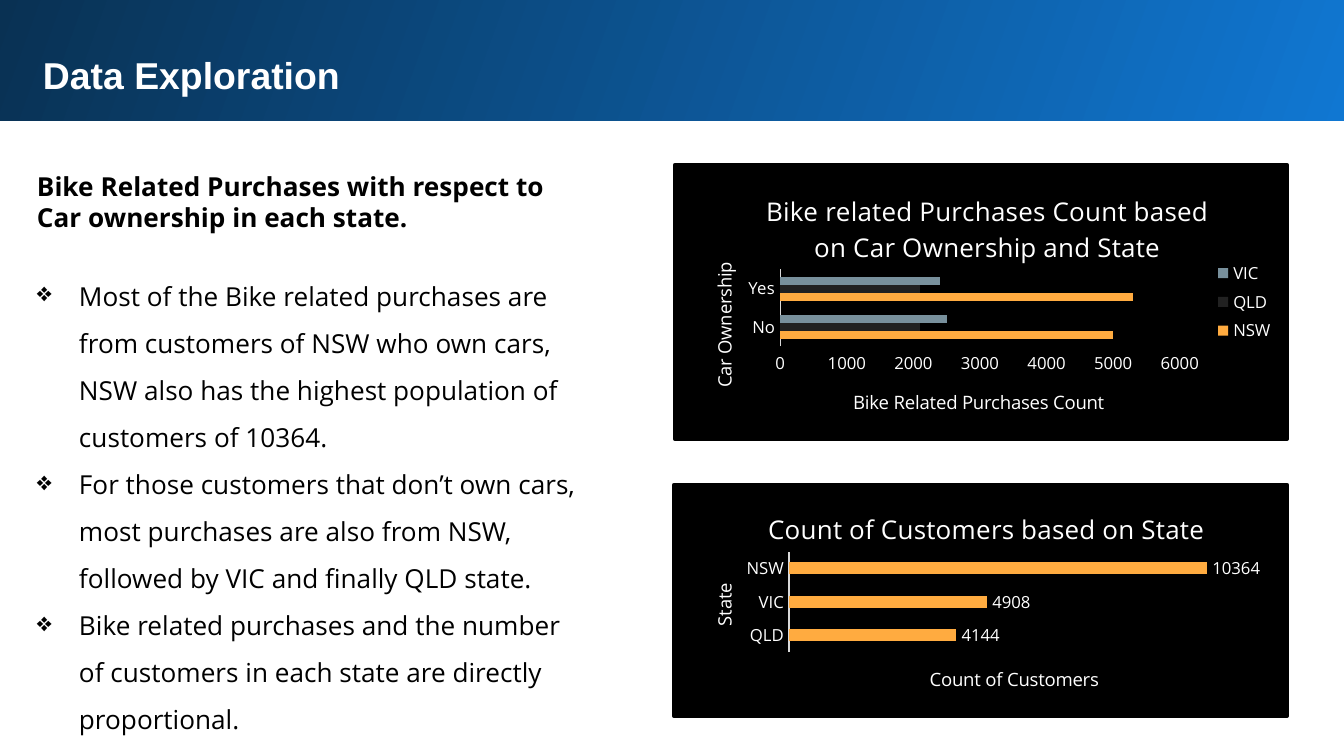
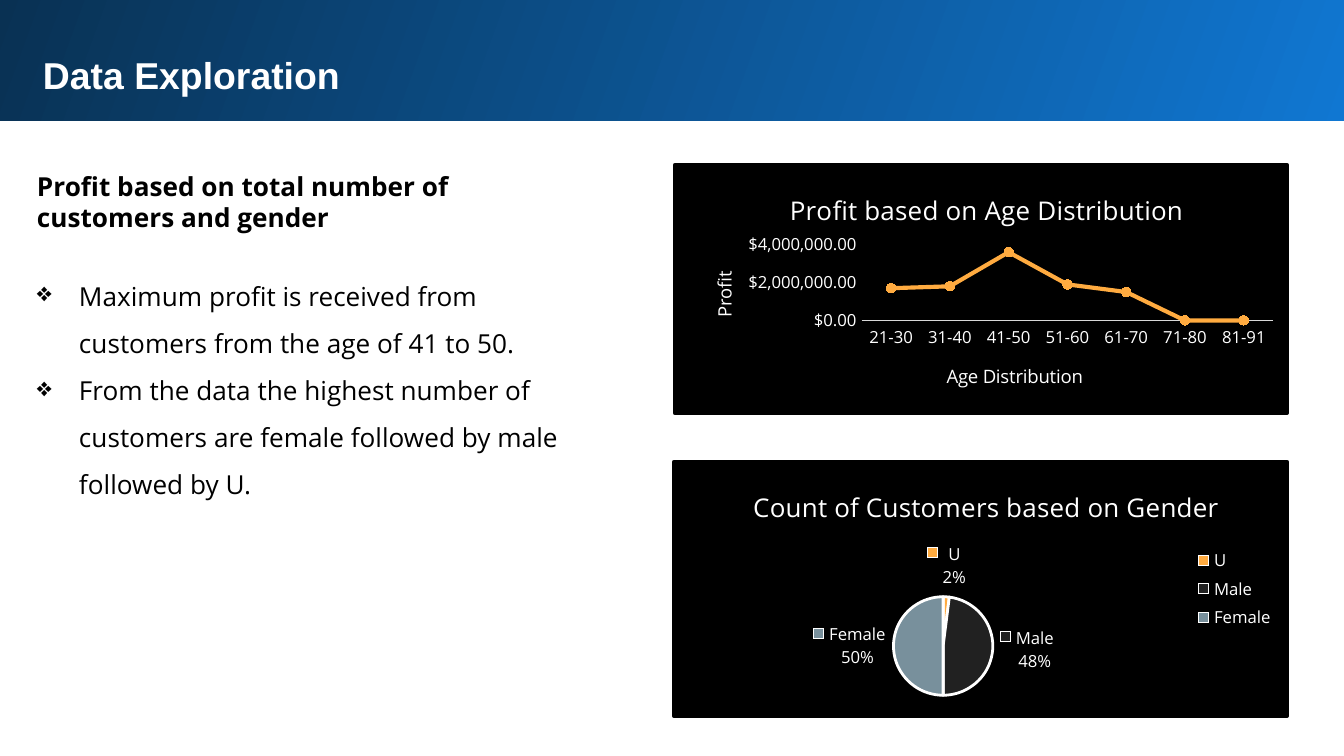
"""Build the two data exploration slides: findings on the left, charts on the right."""
import dataclasses
import typing

import lxml.etree
import pptx
import pptx.chart.axis
import pptx.chart.chart
import pptx.chart.data
import pptx.dml.color
import pptx.enum.chart
import pptx.enum.text
import pptx.enum.shapes
import pptx.oxml
import pptx.oxml.ns
import pptx.slide
import pptx.text.text
import pptx.util

RGB = pptx.dml.color.RGBColor
ChartType = pptx.enum.chart.XL_CHART_TYPE
Pt = pptx.util.Pt
qn = pptx.oxml.ns.qn

WHITE = RGB(0xFF, 0xFF, 0xFF)
BLACK = RGB(0x00, 0x00, 0x00)
BAND_BRIGHT = RGB(0x10, 0x77, 0xD2)
BAND_DARK = RGB(0x09, 0x31, 0x53)
ORANGE = RGB(0xFF, 0xAB, 0x40)
CHARCOAL = RGB(0x21, 0x21, 0x21)
SLATE = RGB(0x78, 0x90, 0x9C)
AXIS_GREY = RGB(0xD9, 0xD9, 0xD9)

EMU_PER_PX = 914400 / 134.4
BODY_FONT = "Open Sans"
TITLE_FONT = "Arial"
SLIDE_TITLE = "Data Exploration"


class Box(typing.NamedTuple):
    left: int
    top: int
    width: int
    height: int


class Label(typing.NamedTuple):
    text: str
    left: int
    top: int


@dataclasses.dataclass(frozen=True)
class Panel:
    kind: ChartType
    box: Box
    plot_area: Box
    title: Label
    categories: tuple[str, ...]
    series: dict[str, tuple[int, ...]]
    colours: tuple[RGB, ...]
    category_title: Label | None = None
    value_title: Label | None = None
    value_max: int = 0
    value_step: int = 0
    value_format: str = "0"
    legend: bool = False
    labels: bool = False
    value_axis_shown: bool = True


@dataclasses.dataclass(frozen=True)
class Exploration:
    heading: str
    findings: tuple[str, ...]
    text_height: int
    panels: tuple[Panel, ...]


EXPLORATIONS = (
    Exploration(
        "Bike Related Purchases with respect to Car ownership in each state.",
        (
            "Most of the Bike related purchases are from customers of NSW who own cars, "
            "NSW also has the highest population of customers of 10364.",
            "For those customers that don’t own cars, most purchases are also from NSW, "
            "followed by VIC and finally QLD state.",
            "Bike related purchases and the number of customers in each state are directly proportional.",
        ),
        583,
        (
            Panel(
                ChartType.BAR_CLUSTERED, Box(672, 483, 617, 235), Box(788, 551, 487, 102),
                Label("Count of Customers based on State", 762, 503),
                ("QLD", "VIC", "NSW"), {"Series 1": (4144, 4908, 10364)}, (ORANGE,),
                Label("State", 705, 580), Label("Count of Customers", 926, 663),
                12000, 2000, labels=True, value_axis_shown=False,
            ),
            Panel(
                ChartType.BAR_CLUSTERED, Box(673, 163, 616, 278), Box(779, 269, 402, 78),
                Label("Bike related Purchases Count based on Car Ownership and State", 760, 185),
                ("No", "Yes"),
                {"NSW": (5000, 5300), "QLD": (2100, 2100), "VIC": (2500, 2400)},
                (ORANGE, CHARCOAL, SLATE),
                Label("Car Ownership", 705, 259), Label("Bike Related Purchases Count", 849, 386),
                6000, 1000, legend=True,
            ),
        ),
    ),
    Exploration(
        "Profit based on total number of customers and gender",
        (
            "Maximum profit is received from customers from the age of 41 to 50.",
            "From the data the highest number of customers are female followed by male followed by U.",
        ),
        345,
        (
            Panel(
                ChartType.LINE_MARKERS, Box(673, 163, 616, 252), Box(861, 244, 414, 77),
                Label("Profit based on Age Distribution", 784, 184),
                ("21-30", "31-40", "41-50", "51-60", "61-70", "71-80", "81-91"),
                {"Series 1": (1700000, 1800000, 3600000, 1900000, 1500000, 0, 0)}, (ORANGE,),
                Label("Age Distribution", 943, 360), Label("Profit", 705, 268),
                4000000, 2000000, '"$"#,##0.00',
            ),
            Panel(
                ChartType.PIE, Box(672, 460, 617, 258), Box(893, 597, 100, 100),
                Label("Count of Customers based on Gender", 747, 481),
                ("U", "Male", "Female"), {"Series 1": (2, 48, 50)}, (ORANGE, CHARCOAL, SLATE),
                legend=True, labels=True,
            ),
        ),
    ),
)


def px(length: int) -> int:
    """Turn pixels into EMU."""
    return round(length * EMU_PER_PX)


def emu(box: Box) -> tuple[int, ...]:
    """Turn a pixel box into EMU."""
    return tuple(px(length) for length in box)


def style_font(font: pptx.text.text.Font, size: float, colour: RGB = WHITE,
               name: str = BODY_FONT, bold: bool = False) -> None:
    """Set face, size, colour and weight."""
    font.name, font.size, font.bold = name, Pt(size), bold
    font.color.rgb = colour


def add_text_frame(slide: pptx.slide.Slide, box: Box, inset: int) -> pptx.text.text.TextFrame:
    """Add a wrapping text box with even insets."""
    frame = slide.shapes.add_textbox(*emu(box)).text_frame
    frame.word_wrap = True
    frame.auto_size = pptx.enum.text.MSO_AUTO_SIZE.SHAPE_TO_FIT_TEXT
    frame.margin_left = frame.margin_right = frame.margin_top = frame.margin_bottom = px(inset)
    return frame


def add_band(slide: pptx.slide.Slide) -> None:
    """Draw the gradient band and the slide title."""
    band = slide.shapes.add_shape(pptx.enum.shapes.MSO_SHAPE.RECTANGLE, *emu(Box(-3, -3, 1351, 124)))
    band.shadow.inherit = False
    band.line.fill.background()
    band.fill.gradient()
    band.fill.gradient_angle = 160
    for stop, colour in zip(band.fill.gradient_stops, (BAND_BRIGHT, BAND_DARK)):
        stop.color.rgb = colour
    title = add_text_frame(slide, Box(30, 39, 1259, 69), 13)
    title.text = SLIDE_TITLE
    style_font(title.paragraphs[0].runs[0].font, 20, name=TITLE_FONT, bold=True)


def add_findings(slide: pptx.slide.Slide, exploration: Exploration) -> None:
    """Write the heading and the bulleted findings."""
    frame = add_text_frame(slide, Box(30, 163, 562, exploration.text_height), 7)
    heading = frame.paragraphs[0]
    heading.text = exploration.heading
    heading.space_after = Pt(17)
    style_font(heading.runs[0].font, 14, BLACK, bold=True)
    for finding in exploration.findings:
        paragraph = frame.add_paragraph()
        paragraph.text = finding
        paragraph.line_spacing = 1.5
        style_font(paragraph.runs[0].font, 14, BLACK)
        properties = paragraph._p.get_or_add_pPr()
        properties.set("marL", str(px(42)))
        properties.set("indent", str(-px(42)))
        lxml.etree.SubElement(properties, qn("a:buChar")).set("char", "❖")


def set_layout(parent: lxml.etree._Element, frame: Box, left: int, top: int,
               size: tuple[int, int] | None = None) -> None:
    """Place a chart part by fractions of its chart frame."""
    layout = parent.find(qn("c:layout"))
    if layout is None:
        layout = lxml.etree.Element(qn("c:layout"))
        text = parent.find(qn("c:tx"))
        parent.insert(0 if text is None else parent.index(text) + 1, layout)
    manual = lxml.etree.SubElement(layout, qn("c:manualLayout"))
    settings = {"xMode": "edge", "yMode": "edge",
                "x": (left - frame.left) / frame.width, "y": (top - frame.top) / frame.height}
    if size:
        settings = {"layoutTarget": "inner", **settings,
                    "w": size[0] / frame.width, "h": size[1] / frame.height}
    for tag, value in settings.items():
        lxml.etree.SubElement(manual, qn(f"c:{tag}")).set("val", str(value))


def write_title(title: typing.Any, label: Label, frame: Box, size: int, upright: bool = False) -> None:
    """Write and place a chart or axis title."""
    text = title.text_frame
    text.text = label.text
    style_font(text.paragraphs[0].runs[0].font, size)
    if upright:
        text._txBody.bodyPr.set("rot", "-5400000")
        text._txBody.bodyPr.set("vert", "horz")
    set_layout(title._element, frame, label.left, label.top)


def style_axes(chart: pptx.chart.chart.Chart, panel: Panel) -> None:
    """Style both axes and write their titles."""
    is_bar = panel.kind == ChartType.BAR_CLUSTERED
    axes = ((chart.category_axis, panel.category_title, is_bar),
            (chart.value_axis, panel.value_title, not is_bar))
    for axis, label, upright in axes:
        axis.major_tick_mark = axis.minor_tick_mark = pptx.enum.chart.XL_TICK_MARK.NONE
        axis.has_major_gridlines = False
        style_font(axis.tick_labels.font, 9)
        write_title(axis.axis_title, label, panel.box, 10, upright)
    category_line = chart.category_axis.format.line
    category_line.color.rgb, category_line.width = AXIS_GREY, Pt(0.75)
    values = chart.value_axis
    values.format.line.fill.background()
    values.minimum_scale, values.maximum_scale = 0, panel.value_max
    values.major_unit = panel.value_step
    values.tick_labels.number_format = panel.value_format
    values.tick_labels.number_format_is_linked = False
    values.visible = panel.value_axis_shown


def style_series(chart: pptx.chart.chart.Chart, panel: Panel) -> None:
    """Colour the series or slices."""
    plot = chart.plots[0]
    plot.vary_by_categories = panel.kind == ChartType.PIE
    if panel.kind == ChartType.PIE:
        for index, colour in enumerate(panel.colours):
            piece = plot.series[0].points[index].format
            piece.fill.solid()
            piece.fill.fore_color.rgb = colour
            piece.line.color.rgb, piece.line.width = WHITE, Pt(1.5)
        return
    for series, colour in zip(plot.series, panel.colours):
        if panel.kind == ChartType.LINE_MARKERS:
            series.smooth = False
            series.format.line.color.rgb, series.format.line.width = colour, Pt(2.25)
            series.marker.style, series.marker.size = pptx.enum.chart.XL_MARKER_STYLE.CIRCLE, 5
            painted = series.marker.format
            painted.line.color.rgb = colour
        else:
            plot.gap_width = 182
            painted = series.format
        painted.fill.solid()
        painted.fill.fore_color.rgb = colour


def add_labels(chart: pptx.chart.chart.Chart, is_pie: bool) -> None:
    """Show values, or names with shares on a pie."""
    labels = chart.plots[0].series[0].data_labels
    labels.show_value = not is_pie
    labels.show_percentage = labels.show_category_name = labels.show_legend_key = is_pie
    labels.number_format, labels.number_format_is_linked = "0%" if is_pie else "0", False
    labels.position = pptx.enum.chart.XL_LABEL_POSITION.OUTSIDE_END
    style_font(labels.font, 9)
    if is_pie:
        separator = lxml.etree.Element(qn("c:separator"))
        separator.text = "\n"
        labels._element.find(qn("c:showBubbleSize")).addnext(separator)


def add_panel(slide: pptx.slide.Slide, panel: Panel) -> None:
    """Draw one chart on its black panel."""
    data = pptx.chart.data.CategoryChartData(number_format="0")
    data.categories = panel.categories
    for name, values in panel.series.items():
        data.add_series(name, values)
    chart = slide.shapes.add_chart(panel.kind, *emu(panel.box), data).chart
    style_font(chart.font, 10)
    write_title(chart.chart_title, panel.title, panel.box, 14)
    chart.has_legend = panel.legend
    if panel.legend:
        chart.legend.position = pptx.enum.chart.XL_LEGEND_POSITION.RIGHT
        chart.legend.include_in_layout = False
        style_font(chart.legend.font, 9)
    if panel.category_title:
        style_axes(chart, panel)
    style_series(chart, panel)
    if panel.labels:
        add_labels(chart, panel.kind == ChartType.PIE)
    space = chart._chartSpace
    area = panel.plot_area
    set_layout(space.find(".//" + qn("c:plotArea")), panel.box, area.left, area.top, area[2:])
    fill = f'<a:solidFill><a:srgbClr val="{BLACK}"/></a:solidFill>'
    space.find(qn("c:chart")).addnext(pptx.oxml.parse_xml(
        f'<c:spPr {pptx.oxml.ns.nsdecls("c", "a")}>{fill}<a:ln w="{Pt(2)}">{fill}</a:ln></c:spPr>'))


def main() -> None:
    """Build and save the presentation."""
    deck = pptx.Presentation()
    deck.slide_width, deck.slide_height = px(1344), px(756)
    for exploration in EXPLORATIONS:
        slide = deck.slides.add_slide(deck.slide_layouts[6])
        add_band(slide)
        add_findings(slide, exploration)
        for panel in exploration.panels:
            add_panel(slide, panel)
    deck.save("out.pptx")


if __name__ == "__main__":
    main()
